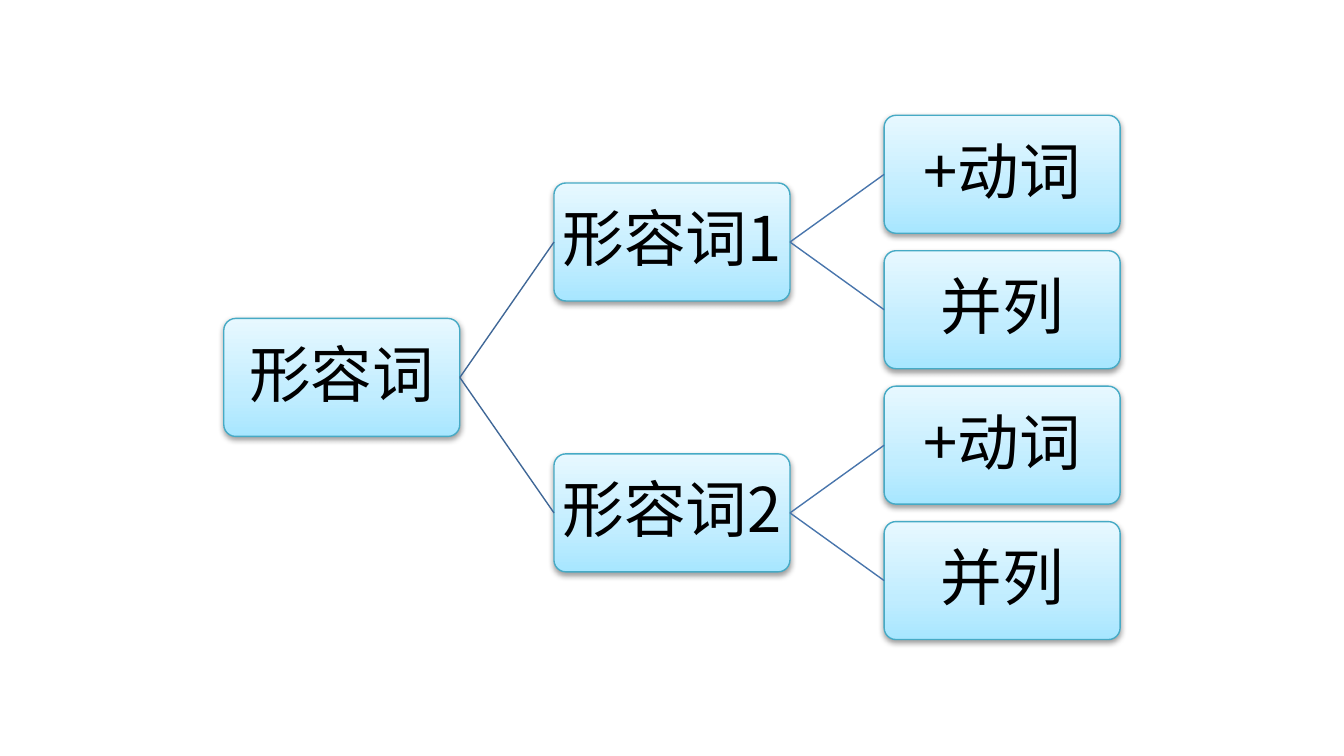
from dataclasses import dataclass, field

import pptx
import pptx.dml.color
import pptx.enum.shapes
import pptx.enum.text
import pptx.oxml
import pptx.oxml.ns
import pptx.util
from lxml import etree
from pptx.util import Cm, Pt

RGBColor = pptx.dml.color.RGBColor
qn = pptx.oxml.ns.qn

BLACK = RGBColor(0x00, 0x00, 0x00)
BOX_LINE = RGBColor(0x46, 0xAA, 0xC5)
# Link colour by the level of the parent box
LINK_COLOURS = (RGBColor(0x3F, 0x67, 0x97), RGBColor(0x48, 0x75, 0xAC))
# Gradient stops, from the bottom of a box to its top
GRADIENT = (
    (0, RGBColor(0xA7, 0xE6, 0xFF)),
    (35, RGBColor(0xC1, 0xED, 0xFF)),
    (100, RGBColor(0xE7, 0xF8, 0xFF)),
)
FONT = "Noto Sans CJK SC"

# Tree geometry in centimetres
LEFT, TOP = 4.23, 2.18
BOX_WIDTH, BOX_HEIGHT = 4.46, 2.23
COLUMN_STEP, ROW_STEP = 6.24, 2.56

FRAME_FORMAT = {
    "word_wrap": True,
    "vertical_anchor": pptx.enum.text.MSO_ANCHOR.MIDDLE,
    "margin_left": Cm(0.05),
    "margin_right": Cm(0.05),
    "margin_top": Cm(0.05),
    "margin_bottom": Cm(0.05),
}
PARAGRAPH_FORMAT = {
    "alignment": pptx.enum.text.PP_ALIGN.CENTER,
    "line_spacing": 0.9,
    "space_after": Pt(11.55),
}
FONT_FORMAT = {"size": Pt(33), "name": FONT}


@dataclass
class Node:
    text: str
    children: list["Node"] = field(default_factory=list)


def branch(text: str) -> Node:
    return Node(text, [Node("+动词"), Node("并列")])


TREE = Node("形容词", [branch("形容词1"), branch("形容词2")])


def apply_format(target, values: dict) -> None:
    for name, value in values.items():
        setattr(target, name, value)


def add_colour(parent, colour: RGBColor):
    return etree.SubElement(parent, qn("a:srgbClr"), val=str(colour))


def style_box(shape) -> None:
    """Give a box its gradient, outline and soft shadow."""
    shape.fill.gradient()
    shape.fill.gradient_angle = 90
    properties = shape._element.spPr
    stops = properties.find(".//" + qn("a:gsLst"))
    for stop in list(stops):
        stops.remove(stop)
    for position, colour in GRADIENT:
        stop = etree.SubElement(stops, qn("a:gs"), pos=str(position * 1000))
        add_colour(stop, colour)

    shape.line.color.rgb = BOX_LINE
    shape.line.width = Pt(0.75)

    shape.shadow.inherit = False
    shadow = etree.SubElement(
        properties.find(qn("a:effectLst")), qn("a:outerShdw"),
        blurRad=str(Pt(3.1)), dist=str(Pt(1.6)), dir="5400000", rotWithShape="0",
    )
    etree.SubElement(add_colour(shadow, BLACK), qn("a:alpha"), val="38000")


def add_box(slide, text: str, level: int, row: float):
    shape = slide.shapes.add_shape(
        pptx.enum.shapes.MSO_SHAPE.ROUNDED_RECTANGLE,
        Cm(LEFT + level * COLUMN_STEP), Cm(TOP + row * ROW_STEP),
        Cm(BOX_WIDTH), Cm(BOX_HEIGHT),
    )
    shape.adjustments[0] = 0.1
    style_box(shape)

    apply_format(shape.text_frame, FRAME_FORMAT)
    paragraph = shape.text_frame.paragraphs[0]
    apply_format(paragraph, PARAGRAPH_FORMAT)
    run = paragraph.add_run()
    run.text = text
    apply_format(run.font, FONT_FORMAT)
    run.font.color.rgb = BLACK
    etree.SubElement(run._r.get_or_add_rPr(), qn("a:ea"), typeface=FONT)
    return shape


def add_link(slide, parent, child, colour: RGBColor) -> None:
    connector = slide.shapes.add_connector(
        pptx.enum.shapes.MSO_CONNECTOR.STRAIGHT, 0, 0, 0, 0
    )
    connector.begin_connect(parent, 3)
    connector.end_connect(child, 1)
    connector.line.color.rgb = colour
    connector.line.width = Pt(0.75)
    etree.SubElement(connector._element.spPr, qn("a:effectLst"))


def draw_node(slide, node: Node, level: int = 0, first_row: int = 0):
    """Draw a subtree; return its box, its row and the next free leaf row."""
    if not node.children:
        return add_box(slide, node.text, level, first_row), first_row, first_row + 1

    boxes, rows, next_row = [], [], first_row
    for child in node.children:
        box, row, next_row = draw_node(slide, child, level + 1, next_row)
        boxes.append(box)
        rows.append(row)

    # A parent is centred on its children
    middle_row = sum(rows) / len(rows)
    parent = add_box(slide, node.text, level, middle_row)
    for box in boxes:
        add_link(slide, parent, box, LINK_COLOURS[level])
    return parent, middle_row, next_row


def main() -> None:
    presentation = pptx.Presentation()
    presentation.slide_width = Cm(25.4)
    presentation.slide_height = Cm(14.29)
    slide = presentation.slides.add_slide(presentation.slide_layouts[6])
    draw_node(slide, TREE)
    presentation.save("out.pptx")


if __name__ == "__main__":
    main()
